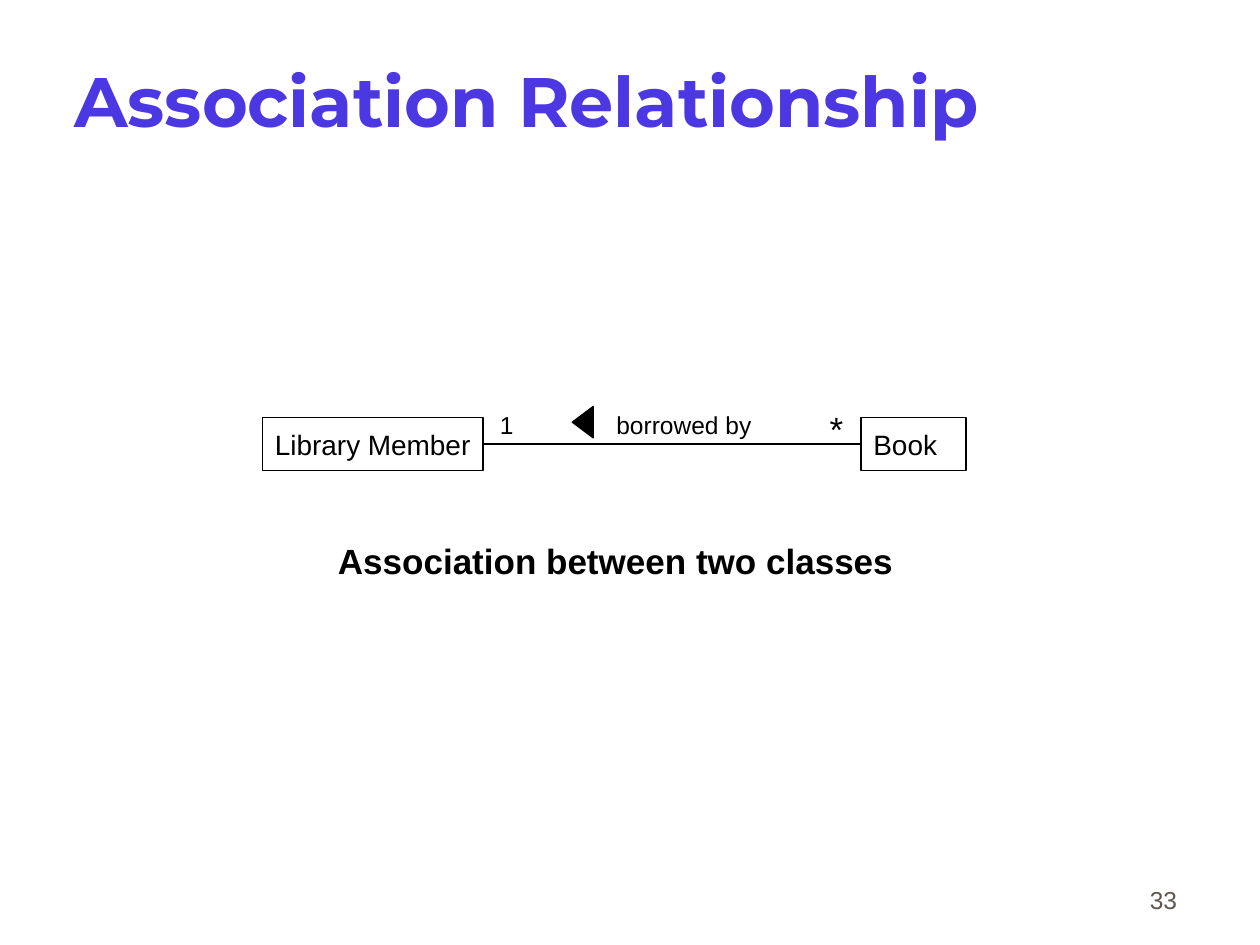
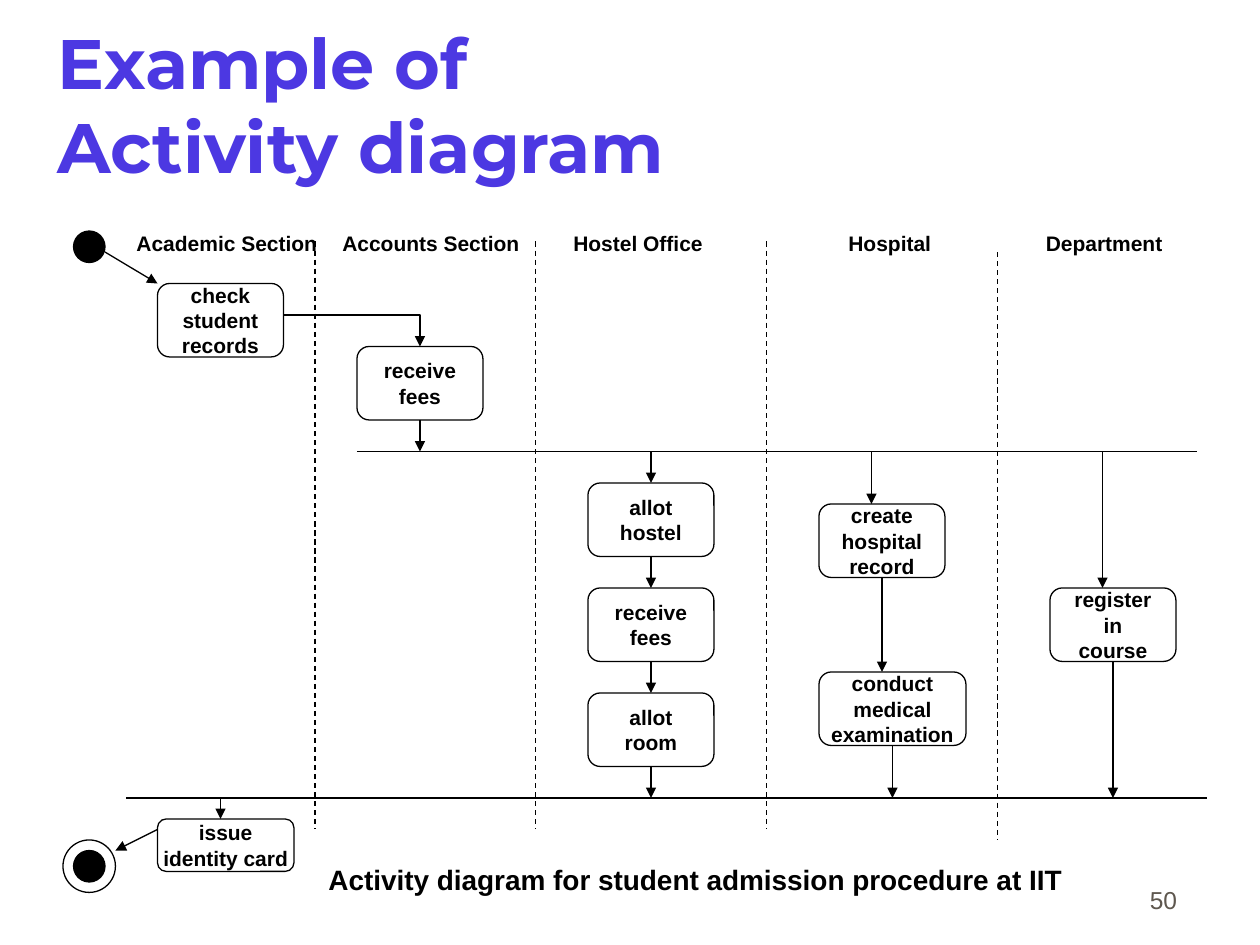
from dataclasses import dataclass

from lxml import etree
from pptx import Presentation
from pptx.dml.color import RGBColor
from pptx.enum.dml import MSO_LINE
from pptx.enum.shapes import MSO_CONNECTOR, MSO_SHAPE
from pptx.enum.text import MSO_ANCHOR, MSO_AUTO_SIZE, PP_ALIGN
from pptx.oxml.ns import qn
from pptx.util import Pt

PX = 7620
LEFT, CENTER, RIGHT = PP_ALIGN.LEFT, PP_ALIGN.CENTER, PP_ALIGN.RIGHT
TOP, MIDDLE, BOTTOM = MSO_ANCHOR.TOP, MSO_ANCHOR.MIDDLE, MSO_ANCHOR.BOTTOM
RECT, ROUND = MSO_SHAPE.RECTANGLE, MSO_SHAPE.ROUNDED_RECTANGLE
OVAL, WEDGE = MSO_SHAPE.OVAL, MSO_SHAPE.ISOSCELES_TRIANGLE
STRAIGHT, DASH = MSO_CONNECTOR.STRAIGHT, MSO_LINE.DASH


@dataclass(frozen=True)
class Theme:
    ink: RGBColor = RGBColor(0, 0, 0)
    title: RGBColor = RGBColor(0x4C, 0x38, 0xE2)
    muted: RGBColor = RGBColor(0x5E, 0x57, 0x4E)
    body: str = "Arial"
    head: str = "Montserrat"
    huge: int = 40
    large: int = 20
    mid: int = 16
    small: int = 14
    tiny: int = 12
    line: float = 0.75
    pad: tuple = (12, 6, 12, 6)
    bare: tuple = (0, 0, 0, 0)


T = Theme()

CLASS_TITLE = ["Association Relationship"]
CLASSES = [("Library Member", (250, 398, 210, 50)), ("Book", (820, 398, 100, 50))]
ROLES = [
    ("1", (476, 390, 13, 28), T.small),
    ("borrowed by", (587, 390, 128, 28), T.small),
    ("*", (790, 388, 13, 40), T.large),
]
POINTER = (540, 392, 30, 20)
CLASS_NOTE = ("Association between two classes", (310, 508, 553, 53))

FLOW_TITLE = ["Example of", "Activity diagram"]
LANES = [
    ("Academic Section", 130, 173),
    ("Accounts Section", 326, 169),
    ("Hostel Office", 546, 124),
    ("Hospital", 808, 79),
    ("Department", 996, 112),
]
SPLITS = [(300, 230), (510, 230), (730, 230), (950, 240)]
STEPS = {
    "check": (["check", "student", "records"], (150, 270, 120, 70)),
    "fees": (["receive", "fees"], (340, 330, 120, 70)),
    "hostel": (["allot", "hostel"], (560, 460, 120, 70)),
    "dues": (["receive", "fees"], (560, 560, 120, 70)),
    "room": (["allot", "room"], (560, 660, 120, 70)),
    "create": (["create", "hospital", "record"], (780, 480, 120, 70)),
    "exam": (["conduct", "medical", "examination"], (780, 640, 140, 70)),
    "course": (["register", "in", "course"], (1000, 560, 120, 70)),
    "issue": (["issue", "identity card"], (150, 780, 130, 50)),
}
BARS = {"fork": (340, 430, 800, 0), "join": (120, 760, 1030, 0)}
FLOWS = [
    (400, ["fees", "fork"]),
    (620, ["fork", "hostel", "dues", "room", "join"]),
    (830, ["fork", "create"]),
    (840, ["create", "exam"]),
    (850, ["exam", "join"]),
    (1050, ["fork", "course"]),
    (1060, ["course", "join"]),
    (210, ["join", "issue"]),
]
SLANTS = [(100, 240, 150, 270), (150, 790, 110, 810)]
BEND = [(270, 300), (400, 300), (400, 330)]
DOTS = [((70, 220, 30, 30), True), ((70, 810, 30, 30), True), ((60, 800, 50, 50), False)]
FLOW_NOTE = (
    "Activity diagram for student admission procedure at IIT",
    (301, 816, 722, 44),
)


def emu(box):
    return [n * PX for n in box]


def style(run, size, color=T.ink, bold=False, face=T.body):
    run.font.name = face
    run.font.size = Pt(size)
    run.font.bold = bold
    run.font.color.rgb = color


def frame(shape, anchor, pad, wrap):
    tf = shape.text_frame
    tf.auto_size = MSO_AUTO_SIZE.NONE
    tf.word_wrap = wrap
    tf.vertical_anchor = anchor
    tf.margin_left, tf.margin_top, tf.margin_right, tf.margin_bottom = emu(pad)
    return tf


def write(shape, lines, size, align=LEFT, anchor=TOP, pad=T.pad, color=T.ink, bold=False):
    tf = frame(shape, anchor, pad, False)
    for i, text in enumerate(lines):
        para = tf.add_paragraph() if i else tf.paragraphs[0]
        para.alignment = align
        run = para.add_run()
        run.text = text
        style(run, size, color, bold)


def label(slide, text, box, size, **look):
    write(slide.shapes.add_textbox(*emu(box)), [text], size, **look)


def stroke(item):
    item.line.color.rgb = T.ink
    item.line.width = Pt(T.line)


def finish(shape, solid=False):
    shape.shadow.inherit = False
    if solid:
        shape.fill.solid()
        shape.fill.fore_color.rgb = T.ink
    else:
        shape.fill.background()
    stroke(shape)
    return shape


def draw(slide, kind, box, solid=False):
    return finish(slide.shapes.add_shape(kind, *emu(box)), solid)


def tip(item):
    line = item.element.spPr.find(qn("a:ln"))
    etree.SubElement(line, qn("a:tailEnd"), type="triangle")


def link(slide, ends, arrow=False, dash=False):
    wire = slide.shapes.add_connector(STRAIGHT, *emu(ends))
    stroke(wire)
    if dash:
        wire.line.dash_style = DASH
    if arrow:
        tip(wire)
    etree.SubElement(wire.element.spPr, qn("a:effectLst"))


def start(deck, lines, box, page):
    slide = deck.slides.add_slide(deck.slide_layouts[5])
    title = slide.shapes.title
    title.left, title.top, title.width, title.height = emu(box)
    para = frame(title, MIDDLE, (2, 6, 2, 6), True).paragraphs[0]
    para.alignment = LEFT
    for i, text in enumerate(lines):
        if i:
            para.add_line_break()
        run = para.add_run()
        run.text = text
        style(run, T.huge, T.title, True, T.head)
    label(slide, page, (883, 817, 250, 60), T.small,
          align=RIGHT, anchor=BOTTOM, color=T.muted)
    return slide


def classes(deck):
    slide = start(deck, CLASS_TITLE, (69, 20, 1001, 150), "33")
    text, box = CLASS_NOTE
    label(slide, text, box, T.large, bold=True)
    for name, box in CLASSES:
        write(draw(slide, RECT, box), [name], T.mid, anchor=MIDDLE)
    (x, y, w, h), far = CLASSES[0][1], CLASSES[1][1]
    mid = y + h // 2
    link(slide, (x + w, mid, far[0], mid))
    draw(slide, WEDGE, POINTER, True).rotation = 270
    for text, box, size in ROLES:
        label(slide, text, box, size, pad=T.bare)


def activity(deck):
    slide = start(deck, FLOW_TITLE, (53, 24, 1020, 150), "50")
    for box, solid in DOTS:
        draw(slide, OVAL, box, solid)
    for text, x, w in LANES:
        label(slide, text, (x, 220, w, 24), T.tiny, pad=T.bare, bold=True)
    for x, y in SPLITS:
        link(slide, (x, y, x, y + 560), dash=True)
    for lines, box in STEPS.values():
        write(draw(slide, ROUND, box), lines, T.tiny, CENTER, MIDDLE, bold=True)
    for x, y, w, h in BARS.values():
        link(slide, (x, y, x + w, y + h))
    spots = {name: box for name, (_, box) in STEPS.items()} | BARS
    for x, chain in FLOWS:
        for a, b in zip(chain, chain[1:]):
            _, y, _, h = spots[a]
            link(slide, (x, y + h, x, spots[b][1]), arrow=True)
    for ends in SLANTS:
        link(slide, ends, arrow=True)
    pen = slide.shapes.build_freeform(*BEND[0], scale=PX)
    pen.add_line_segments(BEND[1:], close=False)
    tip(finish(pen.convert_to_shape()))
    text, box = FLOW_NOTE
    label(slide, text, box, T.mid, bold=True)


def main():
    deck = Presentation()
    deck.slide_width, deck.slide_height = emu((1200, 900))
    classes(deck)
    activity(deck)
    deck.save("out.pptx")


if __name__ == "__main__":
    main()
